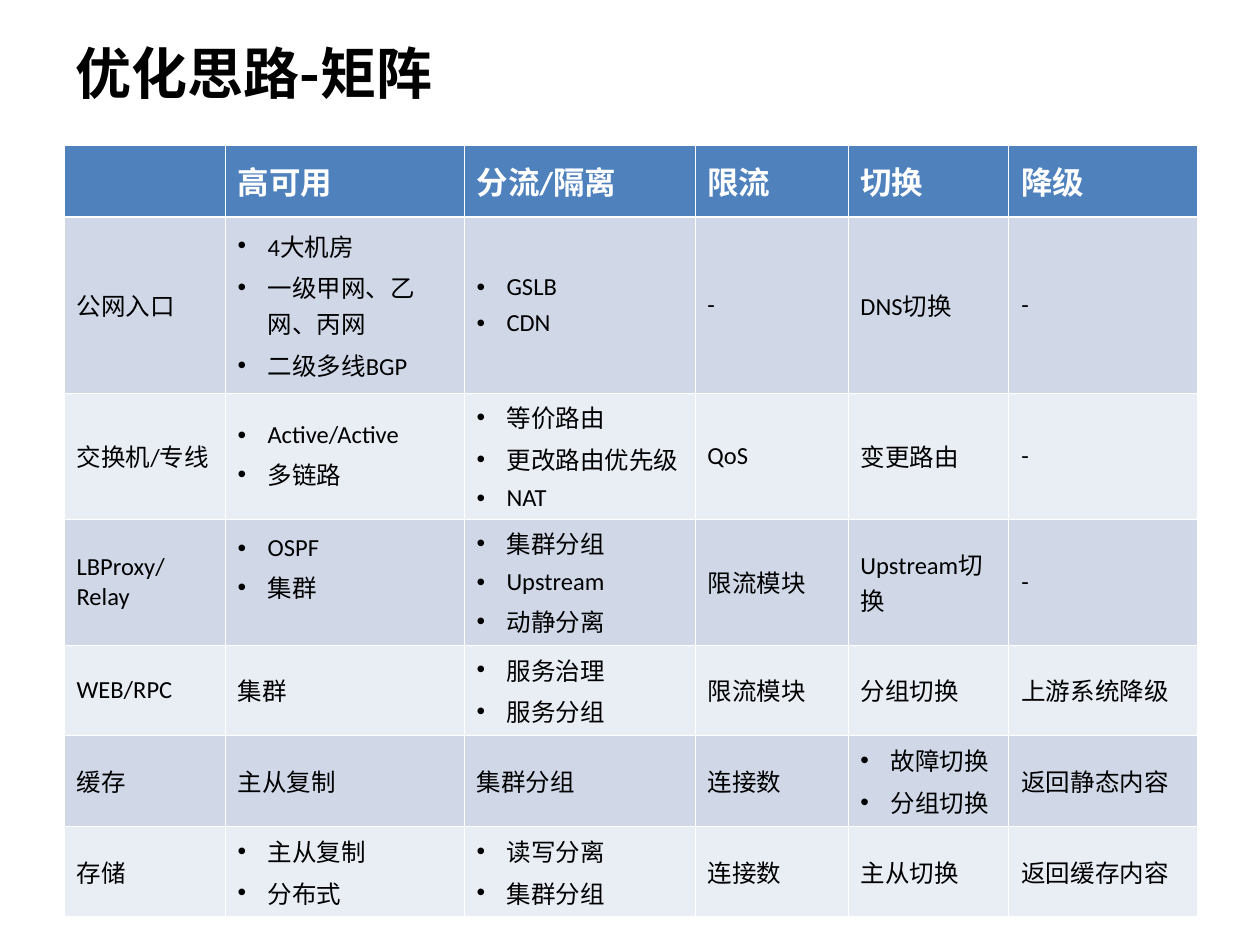
from lxml import etree
from pptx import Presentation
from pptx import util as u
from pptx.dml.color import RGBColor
from pptx.enum import text
from pptx.oxml.ns import qn

PX = 914400 // 126
C = {"black": "000000", "white": "FFFFFF", "header": "4F81BD",
     "dark": "D0D8E8", "light": "E9EDF4"}
CJK = "Noto Sans CJK SC"
INDENT = 30
HAIR, RULE = u.Pt(0.45), u.Pt(1.47)

# Table content: a list is a bulleted cell
ROWS = [
    ["", "高可用", "分流/隔离", "限流", "切换", "降级"],
    ["公网入口", ["4大机房", "一级甲网、乙网、丙网", "二级多线BGP"],
     ["GSLB", "CDN"], "-", "DNS切换", "-"],
    ["交换机/专线", ["Active/Active", "多链路"],
     ["等价路由", "更改路由优先级", "NAT"], "QoS", "变更路由", "-"],
    ["LBProxy/Relay", ["OSPF", "集群"],
     ["集群分组", "Upstream", "动静分离"], "限流模块", "Upstream切换", "-"],
    ["WEB/RPC", "集群", ["服务治理", "服务分组"], "限流模块", "分组切换", "上游系统降级"],
    ["缓存", "主从复制", "集群分组", "连接数", ["故障切换", "分组切换"], "返回静态内容"],
    ["存储", ["主从复制", "分布式"], ["读写分离", "集群分组"], "连接数", "主从切换",
     "返回缓存内容"],
]
COL_W = [161, 239, 231, 153, 161, 189]
ROW_H = [72, 176, 126, 126, 90, 91, 90]


def write(p, words, color, **fmt):
    """Add one run with its Latin and East Asian fonts."""
    r = p.add_run()
    r.text = words
    for name, value in fmt.items():
        setattr(r.font, name, value)
    r.font.color.rgb = RGBColor.from_string(C[color])
    etree.SubElement(r.font._element, qn("a:ea"), typeface=CJK)


def border(cell, widths):
    """Draw white cell edges; widths run left, right, top, bottom."""
    tcPr = cell._tc.get_or_add_tcPr()
    for i, (side, width) in enumerate(zip("LRTB", widths)):
        ln = etree.Element(qn(f"a:ln{side}"), w=str(int(width)))
        fill = etree.SubElement(ln, qn("a:solidFill"))
        etree.SubElement(fill, qn("a:srgbClr"), val=C["white"])
        tcPr.insert(i, ln)


prs = Presentation()
prs.slide_width, prs.slide_height = u.Inches(10), u.Inches(7.5)
s = prs.slides.add_slide(prs.slide_layouts[5])

# Title
title = s.shapes.title
box = {"left": 63, "top": 38, "width": 1134, "height": 68}
for name, value in box.items():
    setattr(title, name, value * PX)
tf = title.text_frame
tf.vertical_anchor = text.MSO_ANCHOR.MIDDLE
p = tf.paragraphs[0]
p.alignment = text.PP_ALIGN.LEFT
write(p, "优化思路-矩阵", "black", name=CJK, size=u.Pt(32), bold=True)

# Table grid
table = s.shapes.add_table(len(ROWS), len(COL_W), 64 * PX, 145 * PX,
                           sum(COL_W) * PX, sum(ROW_H) * PX).table
for col, width in zip(table.columns, COL_W):
    col.width = width * PX
for row, height in zip(table.rows, ROW_H):
    row.height = height * PX

# Cells
for i, row in enumerate(ROWS):
    head = i == 0
    band = "header" if head else "dark" if i % 2 else "light"
    for j, content in enumerate(row):
        cell = table.cell(i, j)
        cell.vertical_anchor = text.MSO_ANCHOR.MIDDLE
        cell.fill.solid()
        cell.fill.fore_color.rgb = RGBColor.from_string(C[band])
        border(cell, [HAIR, HAIR, RULE if i == 1 else HAIR, RULE if head else HAIR])
        bulleted = isinstance(content, list)
        for n, words in enumerate(content if bulleted else [content]):
            if not words:
                continue
            tf = cell.text_frame
            p = tf.add_paragraph() if n else tf.paragraphs[0]
            p.space_before = u.Pt(4.5 if head else 3.5)
            if bulleted:
                pPr = p._p.get_or_add_pPr()
                pPr.set("marL", str(INDENT * PX))
                pPr.set("indent", str(-INDENT * PX))
                pPr.set("hangingPunct", "0")
                clr = etree.SubElement(pPr, qn("a:buClr"))
                etree.SubElement(clr, qn("a:srgbClr"), val=C["black"])
                etree.SubElement(pPr, qn("a:buFont"), typeface="Arial")
                etree.SubElement(pPr, qn("a:buChar"), char="•")
            write(p, words, "white" if head else "black", name="Calibri",
                  size=u.Pt(18 if head else 14), bold=head)

# The proxy row's first list sits above the middle
table.cell(3, 1).margin_bottom = 32 * PX

prs.save("out.pptx")
